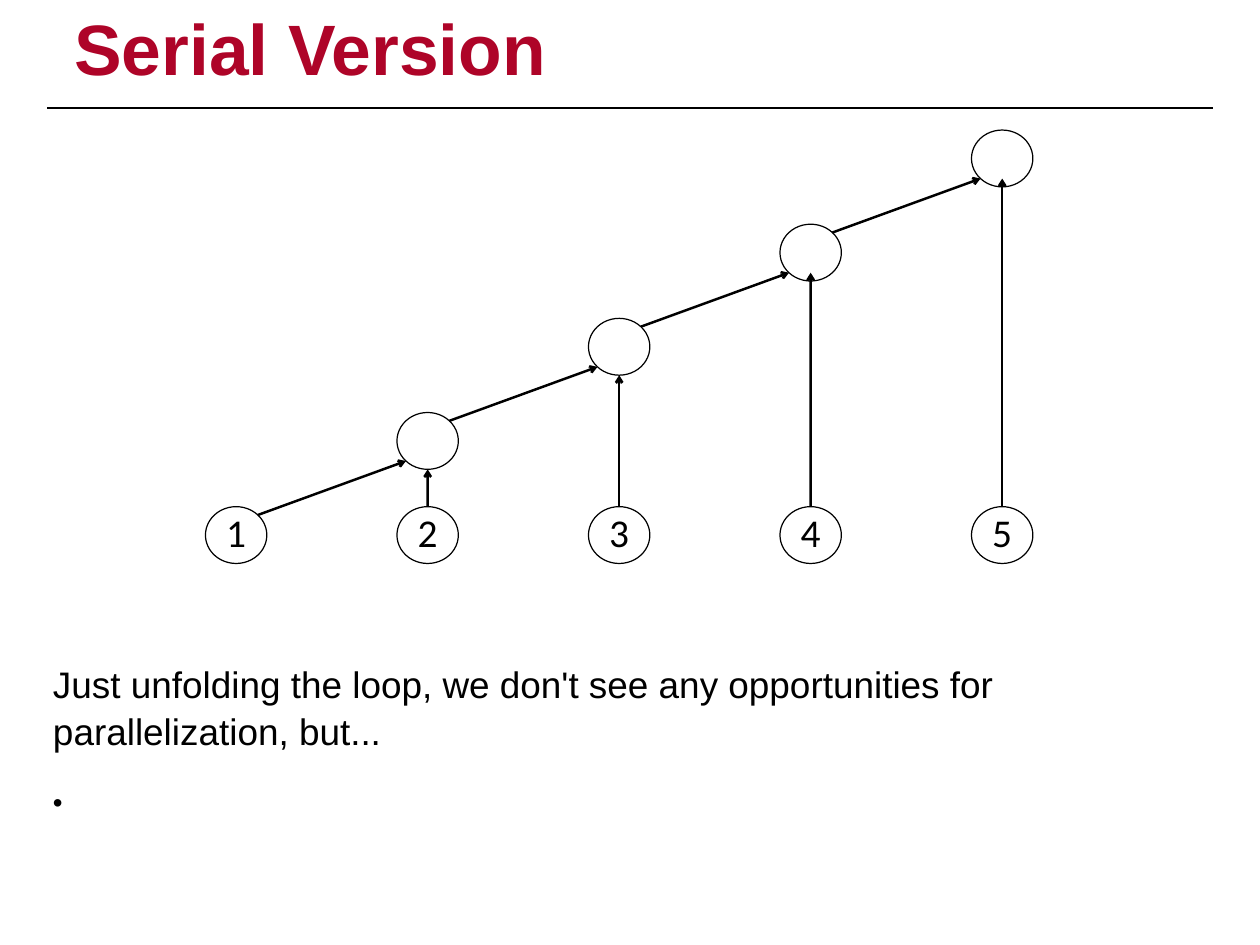
from math import sqrt

from lxml.etree import SubElement
from pptx import Presentation
from pptx.dml.color import RGBColor
from pptx.enum.shapes import MSO_CONNECTOR, MSO_SHAPE
from pptx.enum.text import MSO_ANCHOR, PP_ALIGN
from pptx.oxml.ns import qn
from pptx.util import Cm, Pt

BLACK = RGBColor(0x00, 0x00, 0x00)
WHITE = RGBColor(0xFF, 0xFF, 0xFF)
CRIMSON = RGBColor(0xAE, 0x04, 0x28)

# Node grid, in centimetres
NODE_W, NODE_H = 1.76, 1.63
FIRST_LEFT, BASE_TOP = 5.89, 14.53
STEP_X, STEP_Y = 5.49, 2.7
INSET = (1 - 1 / sqrt(2)) / 2  # diagonal point of an ellipse, as a share of its size
COUNT = 5


def write(frame, paragraphs, font="Arial", size=30, color=BLACK, bold=False,
          align=PP_ALIGN.LEFT, anchor=MSO_ANCHOR.TOP, spacing=1.0):
    """Fill a frame with (text, size or None, space before) paragraphs."""
    frame.word_wrap = True
    frame.vertical_anchor = anchor
    frame.margin_left = frame.margin_right = Cm(0.15)
    frame.margin_top = frame.margin_bottom = Cm(0.15)
    for index, (text, own_size, before) in enumerate(paragraphs):
        paragraph = frame.add_paragraph() if index else frame.paragraphs[0]
        paragraph.alignment = align
        paragraph.line_spacing = spacing
        paragraph.space_before = Pt(before)
        run = paragraph.add_run()
        run.text = text
        run.font.name = font
        run.font.size = Pt(own_size or size)
        run.font.bold = bold
        run.font.color.rgb = color


def add_text(slide, left, top, width, height, paragraphs, **style):
    box = slide.shapes.add_textbox(Cm(left), Cm(top), Cm(width), Cm(height))
    write(box.text_frame, paragraphs, **style)


def node_corner(step, level):
    return FIRST_LEFT + step * STEP_X, BASE_TOP - level * STEP_Y


def add_node(slide, step, level, label=None):
    left, top = node_corner(step, level)
    node = slide.shapes.add_shape(MSO_SHAPE.OVAL, Cm(left), Cm(top), Cm(NODE_W), Cm(NODE_H))
    node.shadow.inherit = False
    node.fill.solid()
    node.fill.fore_color.rgb = WHITE
    node.line.color.rgb = BLACK
    node.line.width = Pt(1)
    if label:
        write(node.text_frame, [(label, None, 0)], font="Calibri", size=32,
              align=PP_ALIGN.CENTER, anchor=MSO_ANCHOR.MIDDLE, spacing=0.9)
    return node


def add_line(slide, start, end, arrow=False):
    line = slide.shapes.add_connector(MSO_CONNECTOR.STRAIGHT, *map(Cm, start + end))
    line.line.color.rgb = BLACK
    line.line.width = Pt(2)
    if arrow:
        SubElement(line.line._get_or_add_ln(), qn("a:tailEnd"), type="arrow")
    SubElement(line._element.spPr, qn("a:effectLst"))
    return line


def add_sum_arrow(slide, step):
    """Arrow from the previous partial result up to this one."""
    left, top = node_corner(step - 1, step - 1)
    next_left, next_top = node_corner(step, step)
    add_line(slide, (left + NODE_W * (1 - INSET), top + NODE_H * INSET),
             (next_left + NODE_W * INSET, next_top + NODE_H * (1 - INSET)), arrow=True)


def add_input_arrow(slide, step, number):
    """Arrow from a numbered input up to its partial result."""
    left, top = node_corner(step, step)
    center = left + NODE_W / 2
    # The two long arrows reach slightly into their nodes
    reach = 1 if step < 3 else 1 - INSET
    arrow = add_line(slide, (center, BASE_TOP), (center, top + NODE_H * reach), arrow=True)
    arrow.begin_connect(number, 0)


def main():
    prs = Presentation()
    prs.slide_width, prs.slide_height = Cm(36.12), Cm(27.1)
    slide = prs.slides.add_slide(prs.slide_layouts[6])

    # Heading and rule
    add_line(slide, (1.35, 3.1), (34.77, 3.1))
    add_text(slide, 1.98, 0.48, 32.18, 2.36, [("Serial Version", None, 0)], size=58,
             color=CRIMSON, bold=True, anchor=MSO_ANCHOR.MIDDLE, spacing=0.7)

    # Explanation
    add_text(slide, 1.37, 18.75, 33.38, 6.38, [
        ("Just unfolding the loop, we don't see any opportunities for "
         "parallelization, but...", None, 0),
        ("•", 22.5, 24),
    ], spacing=1.06)

    # Inputs and partial results
    numbers = [add_node(slide, step, 0, str(step + 1)) for step in range(COUNT)]
    for step in range(1, COUNT):
        add_node(slide, step, step)

    # Dependencies
    for step in range(1, COUNT):
        add_sum_arrow(slide, step)
        add_input_arrow(slide, step, numbers[step])

    prs.save("out.pptx")


if __name__ == "__main__":
    main()
